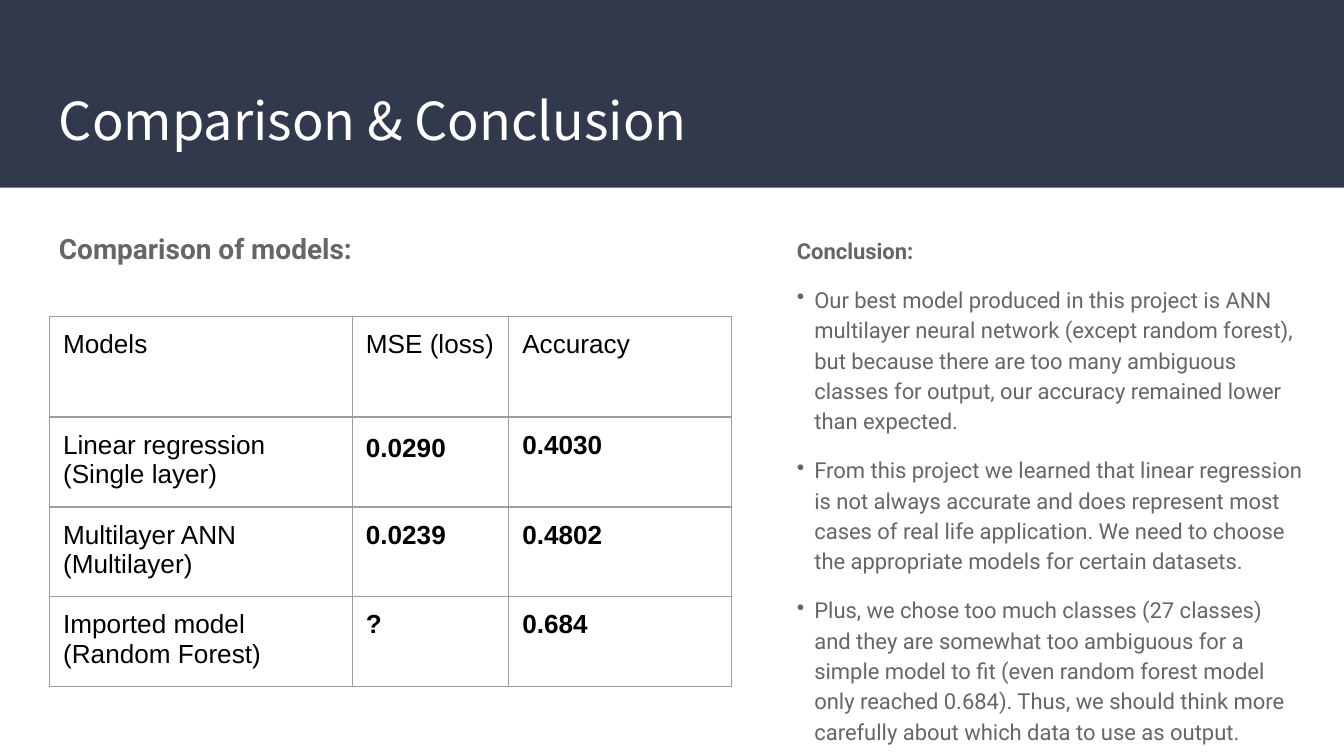
from dataclasses import dataclass

import pptx
import pptx.dml.color
import pptx.enum.shapes
import pptx.enum.text
import pptx.oxml
import pptx.oxml.ns
import pptx.util
from lxml import etree

Pt = pptx.util.Pt
ANCHOR = pptx.enum.text.MSO_ANCHOR


@dataclass(frozen=True)
class Style:
    font: str
    size: float
    color: str
    bold: bool = False


@dataclass(frozen=True)
class Theme:
    band: str = "31394D"
    border: str = "9E9E9E"
    border_width: float = 0.75
    inset: float = 7.2
    title: Style = Style("Noto Sans CJK JP", 28, "FFFFFF")
    heading: Style = Style("Roboto", 15, "666666", True)
    subheading: Style = Style("Roboto", 11.8, "666666", True)
    body: Style = Style("Roboto", 11.8, "666666")
    cell: Style = Style("Arial", 14, "000000")
    figure: Style = Style("Arial", 14, "000000", True)


@dataclass(frozen=True)
class Box:
    left: float
    top: float
    width: float
    height: float

    def emu(self) -> tuple:
        return Pt(self.left), Pt(self.top), Pt(self.width), Pt(self.height)


@dataclass(frozen=True)
class Para:
    text: str
    style: Style
    line_spacing: float = 1.0
    space_before: float = 0
    bullet: bool = False


THEME = Theme()
BULLET_INDENT = 9.4

TITLE = Para("Comparison & Conclusion", THEME.title)
COMPARISON = Para("Comparison of models:", THEME.heading, 0.92)
FINDINGS = [
    "Our best model produced in this project is ANN multilayer neural network "
    "(except random forest), but because there are too many ambiguous classes "
    "for output, our accuracy remained lower than expected.",
    "From this project we learned that linear regression is not always accurate "
    "and does represent most cases of real life application. We need to choose "
    "the appropriate models for certain datasets.",
    "Plus, we chose too much classes (27 classes) and they are somewhat too "
    "ambiguous for a simple model to fit (even random forest model only reached "
    "0.684). Thus, we should think more carefully about which data to use as output.",
]
CONCLUSION = [Para("Conclusion:", THEME.subheading, 1.15)] + [
    Para(text, THEME.body, 1.15, 10, True) for text in FINDINGS
]

# A vertical tab is a line break within a paragraph.
MODELS = [
    ("Models", "MSE (loss)", "Accuracy"),
    ("Linear regression\v(Single layer)", "0.0290", "0.4030"),
    ("Multilayer ANN\v(Multilayer)", "0.0239", "0.4802"),
    ("Imported model (Random Forest)", "?", "0.684"),
]
COL_WIDTHS = (162.2, 83.8, 119.4)
ROW_HEIGHTS = (54, 48.2, 46.8, 46.8)
LOOSE_CELL = (1, 1)  # its line spacing is wider than in the other cells


def rgb(color: str) -> pptx.dml.color.RGBColor:
    return pptx.dml.color.RGBColor.from_string(color)


def add_bullet(p) -> None:
    pPr = p._p.get_or_add_pPr()
    pPr.set("marL", str(Pt(BULLET_INDENT)))
    pPr.set("indent", str(-Pt(BULLET_INDENT)))
    etree.SubElement(pPr, pptx.oxml.ns.qn("a:buChar")).set("char", "•")


def write_para(p, para: Para) -> None:
    p.text = para.text
    p.line_spacing = para.line_spacing
    p.space_before = Pt(para.space_before)
    if para.bullet:
        add_bullet(p)
    for r in p.runs:
        r.font.name = para.style.font
        r.font.size = Pt(para.style.size)
        r.font.bold = para.style.bold
        r.font.color.rgb = rgb(para.style.color)


def set_margins(target) -> None:
    """Give a text frame or a table cell the theme's inset on all sides."""
    target.margin_left = target.margin_right = Pt(THEME.inset)
    target.margin_top = target.margin_bottom = Pt(THEME.inset)


def add_text(s, box: Box, paras: list[Para], anchor=ANCHOR.TOP) -> None:
    tf = s.shapes.add_textbox(*box.emu()).text_frame
    tf.word_wrap = True
    tf.vertical_anchor = anchor
    set_margins(tf)
    for i, para in enumerate(paras):
        write_para(tf.paragraphs[0] if i == 0 else tf.add_paragraph(), para)


def add_band(s, box: Box) -> None:
    sp = s.shapes.add_shape(pptx.enum.shapes.MSO_SHAPE.RECTANGLE, *box.emu())
    sp.shadow.inherit = False
    sp.fill.solid()
    sp.fill.fore_color.rgb = rgb(THEME.band)
    sp.line.fill.background()


def set_borders(cell) -> None:
    tcPr = cell._tc.get_or_add_tcPr()
    for i, side in enumerate(("lnL", "lnR", "lnT", "lnB")):
        ln = pptx.oxml.parse_xml(
            f'<a:{side} {pptx.oxml.ns.nsdecls("a")} w="{Pt(THEME.border_width)}">'
            f'<a:solidFill><a:srgbClr val="{THEME.border}"/></a:solidFill></a:{side}>'
        )
        tcPr.insert(i, ln)


def add_model_table(s, left: float, top: float) -> None:
    box = Box(left, top, sum(COL_WIDTHS), sum(ROW_HEIGHTS))
    table = s.shapes.add_table(len(MODELS), len(COL_WIDTHS), *box.emu()).table
    table.first_row = table.horz_banding = False
    for column, width in zip(table.columns, COL_WIDTHS):
        column.width = Pt(width)
    for i, (row, height) in enumerate(zip(table.rows, ROW_HEIGHTS)):
        row.height = Pt(height)
        for j, cell in enumerate(row.cells):
            style = THEME.figure if i and j else THEME.cell
            spacing = 1.11 if (i, j) == LOOSE_CELL else 1.0
            set_margins(cell)
            cell.fill.background()
            set_borders(cell)
            write_para(cell.text_frame.paragraphs[0], Para(MODELS[i][j], style, spacing))


def main() -> None:
    prs = pptx.Presentation()
    prs.slide_width, prs.slide_height = Pt(720), Pt(405)
    s = prs.slides.add_slide(prs.slide_layouts[6])
    add_band(s, Box(0, 0, 720, 100.6))
    add_text(s, Box(24.5, 39.6, 671, 49), [TITLE], ANCHOR.MIDDLE)
    add_text(s, Box(24.5, 118.8, 314.6, 33), [COMPARISON])
    add_text(s, Box(419.8, 118, 285.8, 298.8), CONCLUSION)
    add_model_table(s, 26.6, 169.4)
    prs.save("out.pptx")


if __name__ == "__main__":
    main()
